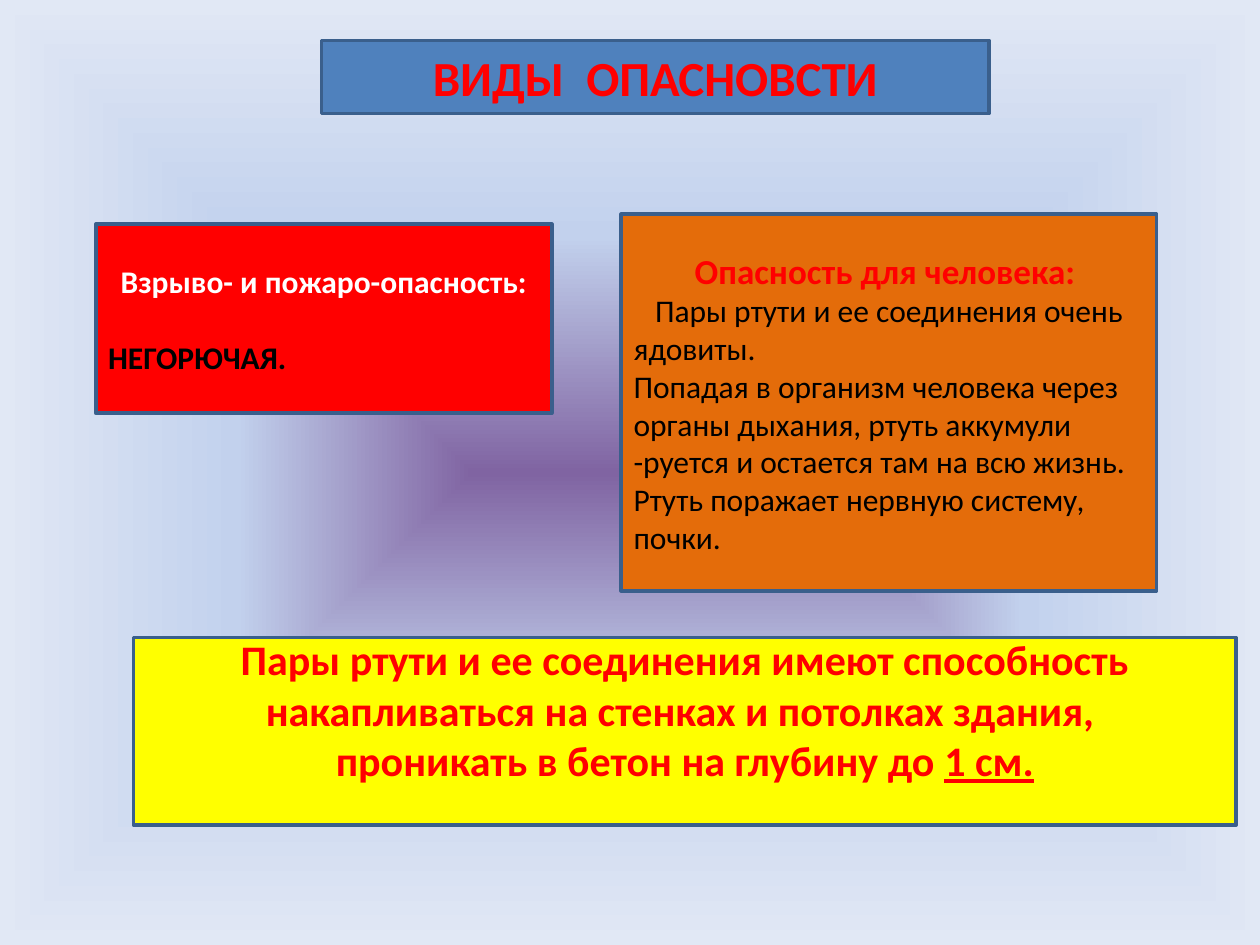
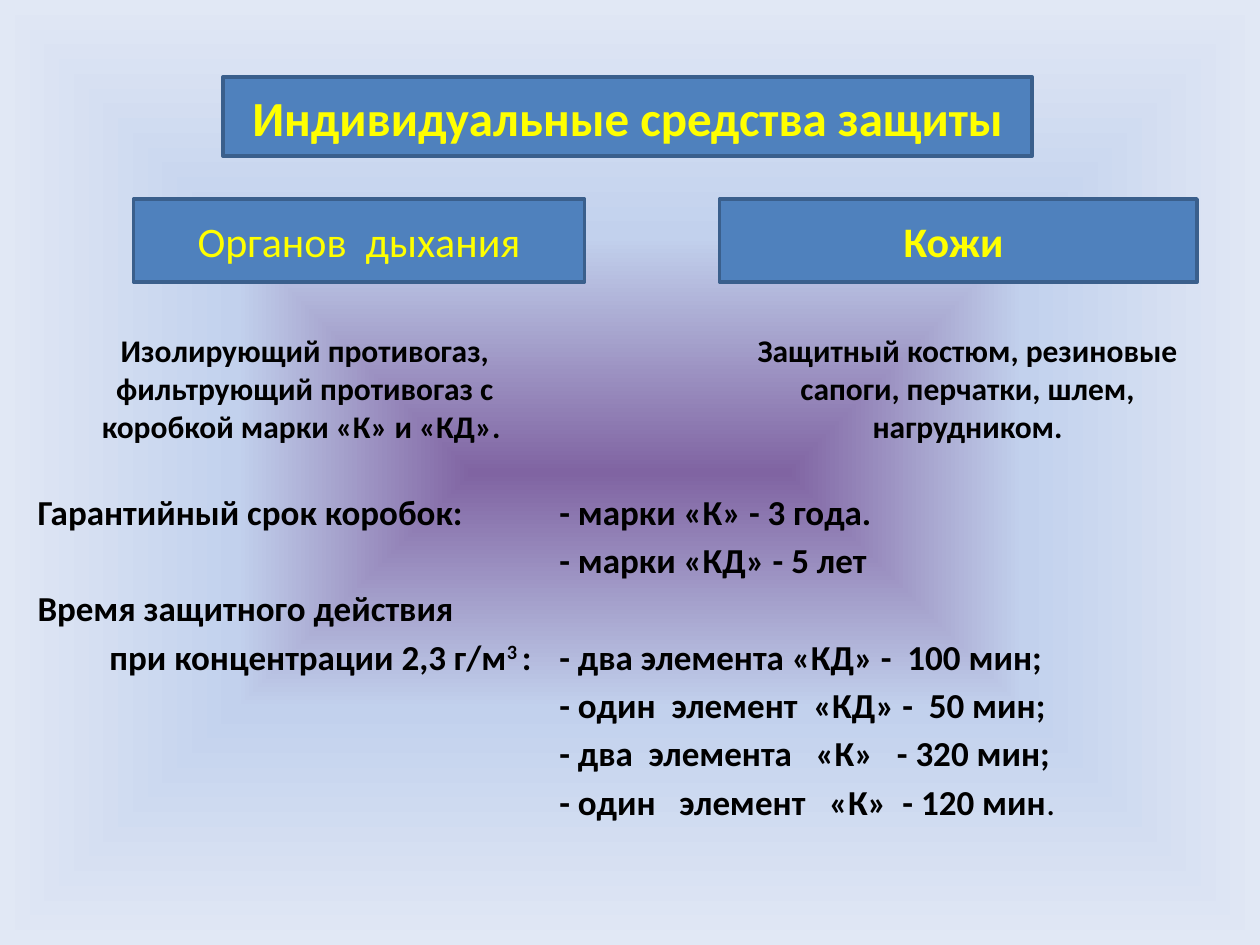
from dataclasses import dataclass

import pptx
import pptx.dml.color
import pptx.enum.shapes
import pptx.enum.text
import pptx.oxml
import pptx.oxml.ns
import pptx.util

ALIGN = pptx.enum.text.PP_ALIGN
ANCHOR = pptx.enum.text.MSO_ANCHOR


@dataclass(frozen=True)
class Theme:
    width: float = 10
    height: float = 7.5
    font: str = "Calibri"
    # Colours
    blue: str = "4F81BD"
    outline: str = "3A5F8C"
    red: str = "FF0000"
    orange: str = "E46C0A"
    yellow: str = "FFFF00"
    white: str = "FFFFFF"
    black: str = "000000"
    backdrop: tuple = ((0, "8064A2"), (50, "C2D1ED"), (100, "E1E8F5"))
    # Type sizes and line width
    title: int = 28
    heading: int = 24
    lead: int = 20
    body: int = 18
    border: int = 2


THEME = Theme()


def inches(value):
    return pptx.util.Inches(value)


def rgb(value):
    return pptx.dml.color.RGBColor.from_string(value)


def set_backdrop(master):
    """Give every slide the gradient that spreads from the centre."""
    master.background.fill.solid()
    properties = master.element.find(".//" + pptx.oxml.ns.qn("p:bgPr"))
    stops = "".join(
        f'<a:gs pos="{share * 1000}"><a:srgbClr val="{colour}"/></a:gs>'
        for share, colour in THEME.backdrop)
    gradient = pptx.oxml.parse_xml(
        f'<a:gradFill {pptx.oxml.ns.nsdecls("a")} rotWithShape="1">'
        f'<a:gsLst>{stops}</a:gsLst><a:path path="shape">'
        '<a:fillToRect l="50000" t="50000" r="50000" b="50000"/>'
        '</a:path></a:gradFill>')
    properties.replace(properties[0], gradient)


def style(paragraph, size, colour, bold=True, align=ALIGN.CENTER):
    paragraph.alignment = align
    font = paragraph.font
    font.name, font.size, font.bold = THEME.font, pptx.util.Pt(size), bold
    font.color.rgb = rgb(colour)


def write(frame, lines, size, colour, bold=True, align=ALIGN.CENTER):
    """Add one paragraph a line, all in one style; return the paragraphs."""
    added = []
    for line in lines:
        paragraph = frame.paragraphs[0]
        if paragraph.runs:
            paragraph = frame.add_paragraph()
        paragraph.add_run().text = line
        style(paragraph, size, colour, bold, align)
        added.append(paragraph)
    return added


def paint(panel, fill):
    panel.fill.solid()
    panel.fill.fore_color.rgb = rgb(fill)
    panel.line.color.rgb = rgb(THEME.outline)
    panel.line.width = pptx.util.Pt(THEME.border)
    frame = panel.text_frame
    frame.word_wrap = True
    frame.vertical_anchor = ANCHOR.MIDDLE
    return frame


def add_title(slide, place, text, colour):
    banner = slide.shapes.title
    banner.left, banner.top, banner.width, banner.height = map(inches, place)
    frame = paint(banner, THEME.blue)
    frame.auto_size = pptx.enum.text.MSO_AUTO_SIZE.NONE
    write(frame, [text], THEME.title, colour)


def add_panel(slide, place, fill):
    panel = slide.shapes.add_shape(
        pptx.enum.shapes.MSO_SHAPE.RECTANGLE, *map(inches, place))
    panel.shadow.inherit = False
    return paint(panel, fill)


def add_text(slide, place):
    frame = slide.shapes.add_textbox(*map(inches, place)).text_frame
    frame.word_wrap = True
    return frame


def set_tabs(paragraph, stops):
    marks = "".join(f'<a:tab pos="{inches(stop)}" algn="l"/>' for stop in stops)
    tabs = pptx.oxml.parse_xml(
        f'<a:tabLst {pptx.oxml.ns.nsdecls("a")}>{marks}</a:tabLst>')
    properties = paragraph._p.get_or_add_pPr()
    properties.find(pptx.oxml.ns.qn("a:defRPr")).addprevious(tabs)


def build_dangers(slide):
    add_title(slide, (2.55, 0.32, 5.3, 0.58), "ВИДЫ  ОПАСНОВСТИ", THEME.red)

    # Fire and explosion
    fire = add_panel(slide, (0.76, 1.78, 3.62, 1.5), THEME.red)
    write(fire, ["Взрыво- и пожаро-опасность:"], THEME.body, THEME.white)
    verdict, = write(fire, ["НЕГОРЮЧАЯ."], THEME.body, THEME.black,
                     align=ALIGN.LEFT)
    verdict.space_before = pptx.util.Pt(22)

    # Harm to people
    health = add_panel(slide, (4.93, 1.7, 4.25, 2.99), THEME.orange)
    write(health, ["Опасность для человека: "], THEME.lead, THEME.red)
    harms = write(health, [
        "Пары ртути и ее соединения очень ядовиты.",
        "Попадая в организм человека через органы дыхания, ртуть аккумули "
        "-руется и остается там на всю жизнь.",
        "Ртуть поражает нервную систему, почки.",
    ], THEME.body, THEME.black, bold=False, align=ALIGN.LEFT)
    harms[0]._p.get_or_add_pPr().set("indent", str(inches(0.17)))

    # Build-up in walls
    walls = add_panel(slide, (1.06, 5.06, 8.75, 1.49), THEME.yellow)
    walls.margin_bottom = inches(0.4)
    _, depth = write(walls, [
        "Пары ртути и ее соединения имеют способность накапливаться "
        "на стенках и потолках здания, ",
        "проникать в бетон на глубину до ",
    ], THEME.heading, THEME.red)
    limit = depth.add_run()
    limit.text = "1 см."
    limit.font.underline = True


def build_protection(slide):
    add_title(slide, (1.77, 0.61, 6.42, 0.63),
              "Индивидуальные средства защиты", THEME.yellow)

    # What is protected, and the gear for it
    columns = (
        ((1.06, 3.58), "Органов  дыхания", False, (0.43, 3.98),
         "Изолирующий противогаз, фильтрующий противогаз с коробкой "
         "марки «К» и «КД». "),
        ((5.71, 3.79), "Кожи ", True, (5.71, 3.94),
         "Защитный костюм, резиновые сапоги, перчатки, шлем, нагрудником."),
    )
    for (left, width), name, bold, (gear_left, gear_width), gear in columns:
        heading = add_panel(slide, (left, 1.58, width, 0.66), THEME.blue)
        write(heading, [name], THEME.heading, THEME.yellow, bold)
        write(add_text(slide, (gear_left, 2.58, gear_width, 1.01)), [gear],
              THEME.body, THEME.black)

    # Shelf life and protection time, below the columns
    terms = add_text(slide, (0.2, 0.13, 9.62, 7.09))
    terms.margin_top = inches(3.76)
    rows = write(terms, [
        "Гарантийный срок коробок:\t- марки «К» - 3 года.",
        "\t\t- марки «КД» - 5 лет",
        "Время защитного действия",
        "\tпри концентрации 2,3 г/м",
        "\t\t- один  элемент  «КД» -  50 мин;",
        "\t\t- два  элемента   «К»   - 320 мин;",
        "\t\t- один   элемент   «К»  - 120 мин",
    ], THEME.lead, THEME.black, align=ALIGN.LEFT)
    for row in rows:
        row.space_after = pptx.util.Pt(3.6)
        set_tabs(row, (0.57, 4.14))
    cubed = rows[3].add_run()
    cubed.text = "3 "
    cubed.font._element.set("baseline", "30000")
    rows[3].add_run().text = ":\t- два элемента «КД» -  100 мин;"
    full_stop = rows[-1].add_run()
    full_stop.text = "."
    full_stop.font.bold = False


def main():
    deck = pptx.Presentation()
    deck.slide_width = inches(THEME.width)
    deck.slide_height = inches(THEME.height)
    set_backdrop(deck.slide_master)
    title_only = deck.slide_layouts[5]
    for build in (build_dangers, build_protection):
        build(deck.slides.add_slide(title_only))
    deck.save("out.pptx")


main()
